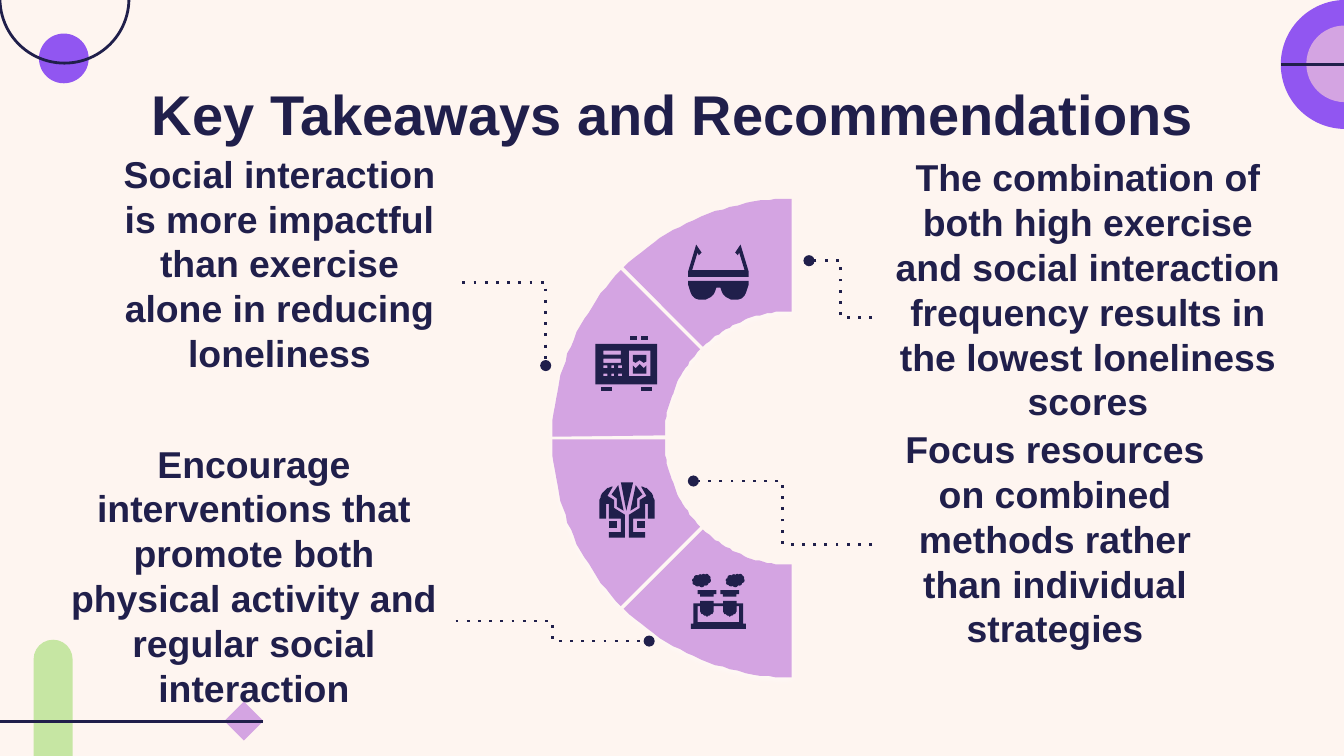
from dataclasses import dataclass
from math import asin, cos, degrees, radians, sin

from lxml.etree import SubElement
from pptx import Presentation
from pptx.dml.color import RGBColor
from pptx.enum.shapes import MSO_CONNECTOR, MSO_SHAPE
from pptx.enum.text import MSO_ANCHOR, MSO_AUTO_SIZE, PP_ALIGN
from pptx.oxml.ns import qn
from pptx.util import Inches, Pt


@dataclass(frozen=True)
class Theme:
    paper: RGBColor = RGBColor.from_string("FEF5F0")
    ink: RGBColor = RGBColor.from_string("201F4B")
    lilac: RGBColor = RGBColor.from_string("D4A4E2")
    violet: RGBColor = RGBColor.from_string("9156F1")
    green: RGBColor = RGBColor.from_string("C6E6A3")
    font: str = "Arial"
    title_size: int = 30
    label_size: int = 20
    label_leading: int = 24
    line_width: float = 1.5


THEME = Theme()
UNIT = 100  # freeform points are hundredths of an inch


# ---- Shared helpers ----
def paint(shape, fill=None, line=None):
    shape.shadow.inherit = False
    if fill is None:
        shape.fill.background()
    else:
        shape.fill.solid()
        shape.fill.fore_color.rgb = fill
    if line is None:
        shape.line.fill.background()
    else:
        shape.line.color.rgb = line
        shape.line.width = Pt(THEME.line_width)
    return shape


def draw_shape(shapes, kind, box, fill=None, line=None):
    return paint(shapes.add_shape(kind, *map(Inches, box)), fill, line)


def draw_outline(shapes, left, top, *contours, fill=THEME.ink):
    builder = shapes.build_freeform(*contours[0][0], scale=Inches(1) / UNIT)
    builder.add_line_segments(contours[0][1:], close=True)
    for contour in contours[1:]:
        builder.move_to(*contour[0])
        builder.add_line_segments(contour[1:], close=True)
    return paint(builder.convert_to_shape(Inches(left), Inches(top)), fill)


def draw_line(shapes, kind, start, end):
    line = shapes.add_connector(kind, *map(Inches, start + end))
    line.line.color.rgb = THEME.ink
    line.line.width = Pt(THEME.line_width)
    SubElement(line._element.spPr, qn("a:effectLst"))
    return line


def write(frame, text, size, anchor, leading=None):
    frame.word_wrap = True
    frame.auto_size = MSO_AUTO_SIZE.NONE
    frame.vertical_anchor = anchor
    frame.margin_left = frame.margin_right = Inches(0.1)
    frame.margin_top = frame.margin_bottom = Inches(0.1)
    para = frame.paragraphs[0]
    para.alignment = PP_ALIGN.CENTER
    if leading:
        para.line_spacing = Pt(leading)
    span = para.add_run()
    span.text = text
    span.font.name, span.font.size, span.font.bold = THEME.font, Pt(size), True
    span.font.color.rgb = THEME.ink


def rect(left, top, width, height):
    right, bottom = left + width, top + height
    return [(left, top), (right, top), (right, bottom), (left, bottom)]


def curve(*controls, steps=12):
    """Points along a cubic Bezier curve."""
    def at(t):
        weights = ((1 - t) ** 3, 3 * t * (1 - t) ** 2, 3 * t * t * (1 - t), t ** 3)
        return tuple(sum(w * c[axis] for w, c in zip(weights, controls)) for axis in (0, 1))
    return [at(step / steps) for step in range(steps + 1)]


def mirror(points, width):
    return [(width - x, y) for x, y in points]


# ---- Corner ornaments ----
def add_ornaments(shapes):
    draw_shape(shapes, MSO_SHAPE.DIAMOND, (1.67, 5.22, 0.29, 0.29), THEME.lilac)
    bar = draw_shape(shapes, MSO_SHAPE.ROUNDED_RECTANGLE, (0.25, 4.76, 0.29, 1.35), THEME.green)
    bar.adjustments[0] = 0.5
    draw_line(shapes, MSO_CONNECTOR.STRAIGHT, (0, 5.37), (1.96, 5.37))
    for box, fill, line in (
        ((9.53, 0, 0.96, 0.96), THEME.violet, None),
        ((9.72, 0.19, 0.57, 0.57), THEME.lilac, None),
        ((0.29, 0.25, 0.37, 0.37), THEME.violet, None),
        ((0, -0.49, 0.96, 0.96), None, THEME.ink),
    ):
        draw_shape(shapes, MSO_SHAPE.OVAL, box, fill, line)
    draw_line(shapes, MSO_CONNECTOR.STRAIGHT, (9.53, 0.48), (10.48, 0.48))


# ---- Half ring of four equal segments ----
def add_half_ring(shapes, center_x, center_y, outer=178, inner=94.5, half_gap=1.5):
    def arc(radius, first, last, trims):
        slack = degrees(asin(half_gap / radius))
        start, stop = first + slack * trims[0], last - slack * trims[1]
        angles = [radians(start + (stop - start) * step / 24) for step in range(25)]
        return [(radius * cos(a), -radius * sin(a)) for a in angles]

    for index in range(4):
        first = 90 + 45 * index
        span = (first, first + 45, (index > 0, index < 3))
        segment = draw_outline(shapes, center_x, center_y,
                               arc(outer, *span) + arc(inner, *span)[::-1], fill=THEME.lilac)
        effects = segment._element.spPr.find(qn("a:effectLst"))
        shadow = SubElement(effects, qn("a:outerShdw"), blurRad=str(Pt(4.5)),
                            dist=str(Pt(1.5)), dir="5400000", algn="bl", rotWithShape="0")
        color = SubElement(shadow, qn("a:srgbClr"), val="FFFFFF")
        SubElement(color, qn("a:alpha"), val="50000")


# ---- Icons ----
def add_goggles(shapes, left, top):
    half = [(0, 24), (0, 20), (6, 0), (10, 6), (8, 8), (7, 6), (3, 19)]
    draw_outline(shapes, left, top, half + mirror(half, 45)[::-1])
    lens = [(0, 27)] + curve((0, 30), (1, 44), (19, 45), (21, 32))
    draw_outline(shapes, left, top, lens + mirror(lens, 45)[::-1])


def add_radio(shapes, left, top):
    keys = [rect(x, y, 3, 2.5) for x in (6, 11.5, 17) for y in (22, 27.5)]
    strips = [rect(6, y, 13, 2.5) for y in (11, 17)]
    draw_outline(shapes, left, top, rect(0, 6, 46, 30), rect(25, 11, 16, 19), *keys, *strips)
    draw_outline(shapes, left, top, [(38, 22), (36, 24), (33, 21), (30, 24), (28, 22), (28, 28), (38, 28)])
    draw_outline(shapes, left, top, [(33, 18), (36, 20), (38, 19), (38, 14), (28, 14), (28, 19), (30, 20)])
    for part in ((4, 38, 8, 3), (34, 38, 8, 3), (26, 0, 5, 3), (34, 0, 5, 3)):
        draw_outline(shapes, left, top, rect(*part))


def add_coat(shapes, left, top):
    sleeve = [(11, 13), (6, 10)] + curve((10, 3), (4, 4), (0, 9), (0, 16)) + [
        (0, 27), (5, 27), (5, 16), (7, 16), (7, 27), (16, 27), (16, 37),
        (7, 37), (7, 41), (19, 41), (19, 24), (11, 19)]
    lapel = [(18, 21), (14, 2), (9, 9), (13, 12), (13, 18)]
    for part in (sleeve, rect(7, 29, 6, 5), lapel):
        draw_outline(shapes, left, top, part)
        draw_outline(shapes, left, top, mirror(part, 41))
    draw_outline(shapes, left, top, [(16, 0), (20.5, 21), (25, 0)])


def add_test_tubes(shapes, left, top):
    cap = [(5, 12), (5, 15), (7, 15), (7, 17), (17, 17), (17, 15), (19, 15), (19, 12)]
    rim = [(0, 41), (0, 37), (2, 37), (2, 22), (7, 22), (7, 20), (17, 20), (17, 22)]
    tube = [(5, 36), (5, 24), (7, 24)] + curve((7, 27), (7, 33), (17, 33), (17, 27)) + [(17, 24)]
    for part in (cap, mirror(cap, 41)):
        draw_outline(shapes, left, top, part)
    for x in (0.01, 0.26):
        draw_shape(shapes, MSO_SHAPE.CLOUD, (left + x, top, 0.14, 0.1), THEME.ink)
    draw_outline(shapes, left, top, rim + mirror(rim, 41)[::-1], tube + mirror(tube, 41)[::-1])


# ---- Takeaway label with its dotted leader ----
def add_takeaway(shapes, text, box, start, end, bend="bentConnector3"):
    label = shapes.add_textbox(*map(Inches, box))
    write(label.text_frame, text, THEME.label_size, MSO_ANCHOR.BOTTOM, THEME.label_leading)
    leader = draw_line(shapes, MSO_CONNECTOR.ELBOW, start, end)
    properties = leader._element.spPr
    properties.find(qn("a:prstGeom")).set("prst", bend)
    outline = properties.find(qn("a:ln"))
    SubElement(outline, qn("a:prstDash"), val="dot")
    SubElement(outline, qn("a:tailEnd"), type="oval")


TAKEAWAYS = (
    ("Social interaction is more impactful than exercise alone in reducing loneliness",
     (0.72, 1.32, 2.72, 1.57), (3.44, 2.1), (4.06, 2.72), "bentConnector2"),
    ("Encourage interventions that promote both physical activity and regular social interaction",
     (0.39, 3.87, 3, 1.51), (3.39, 4.62), (4.83, 4.77)),
    ("The combination of both high exercise and social interaction frequency results in "
     "the lowest loneliness scores",
     (6.49, 1.47, 3.21, 1.78), (6.49, 2.36), (6.02, 1.94)),
    ("Focus resources on combined methods rather than individual strategies",
     (6.49, 3.16, 2.72, 1.78), (6.49, 4.05), (5.16, 3.58)),
)
ICONS = ((add_goggles, 5.12, 1.82), (add_radio, 4.43, 2.5),
         (add_coat, 4.46, 3.59), (add_test_tubes, 5.14, 4.27))


def add_title(page, text, box):
    title = page.shapes.title
    title.left, title.top, title.width, title.height = map(Inches, box)
    write(title.text_frame, text, THEME.title_size, MSO_ANCHOR.TOP)


def main():
    deck = Presentation()
    deck.slide_width = Inches(10)
    deck.slide_height = Inches(10) * 9 // 16
    page = deck.slides.add_slide(deck.slide_layouts[5])
    page.background.fill.solid()
    page.background.fill.fore_color.rgb = THEME.paper

    add_ornaments(page.shapes)
    add_title(page, "Key Takeaways and Recommendations", (0.79, 0.49, 8.43, 0.63))
    add_half_ring(page.shapes, 5.89, 3.26)
    for draw_icon, left, top in ICONS:
        draw_icon(page.shapes.add_group_shape().shapes, left, top)
    for takeaway in TAKEAWAYS:
        add_takeaway(page.shapes, *takeaway)
    deck.save("out.pptx")


if __name__ == "__main__":
    main()
